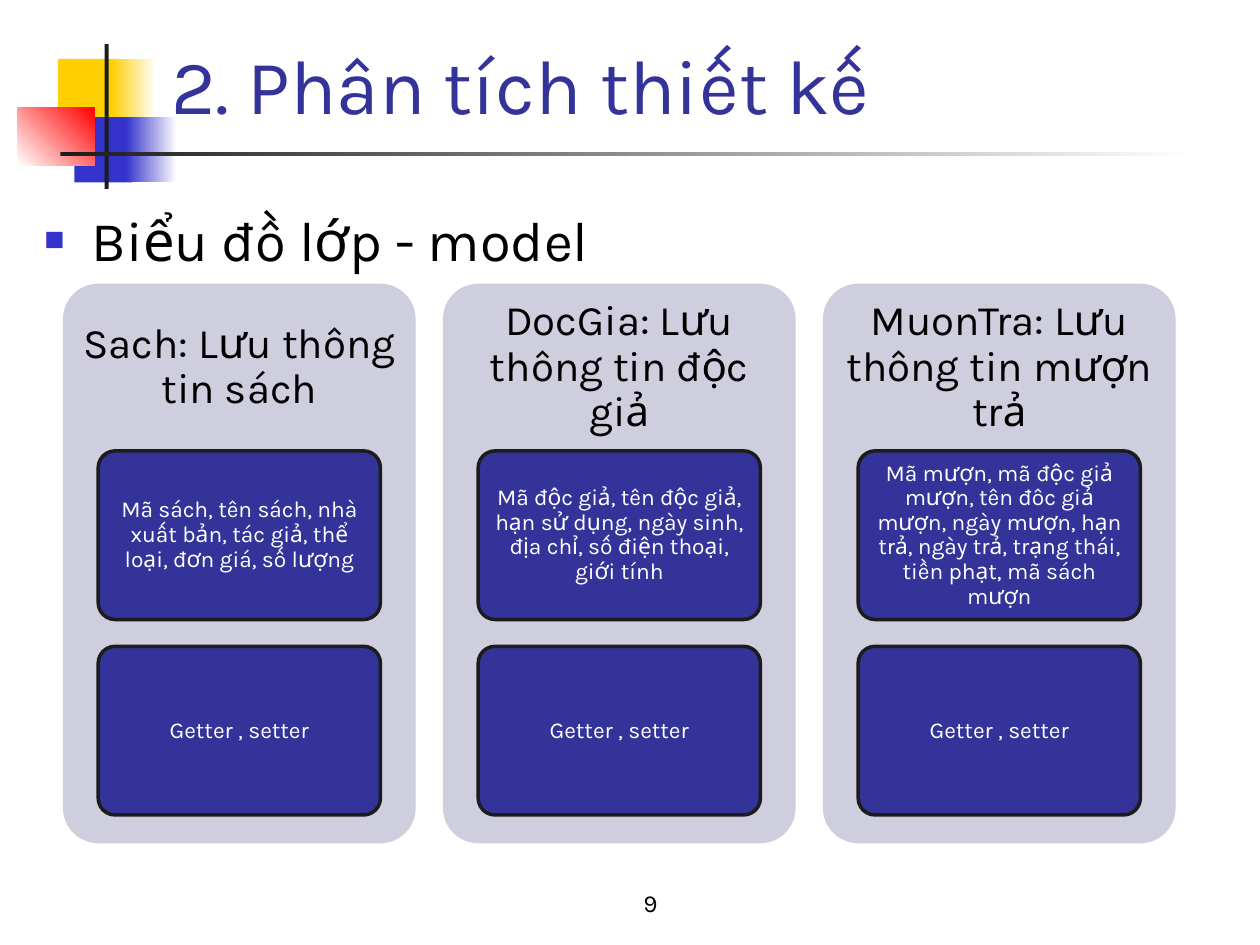
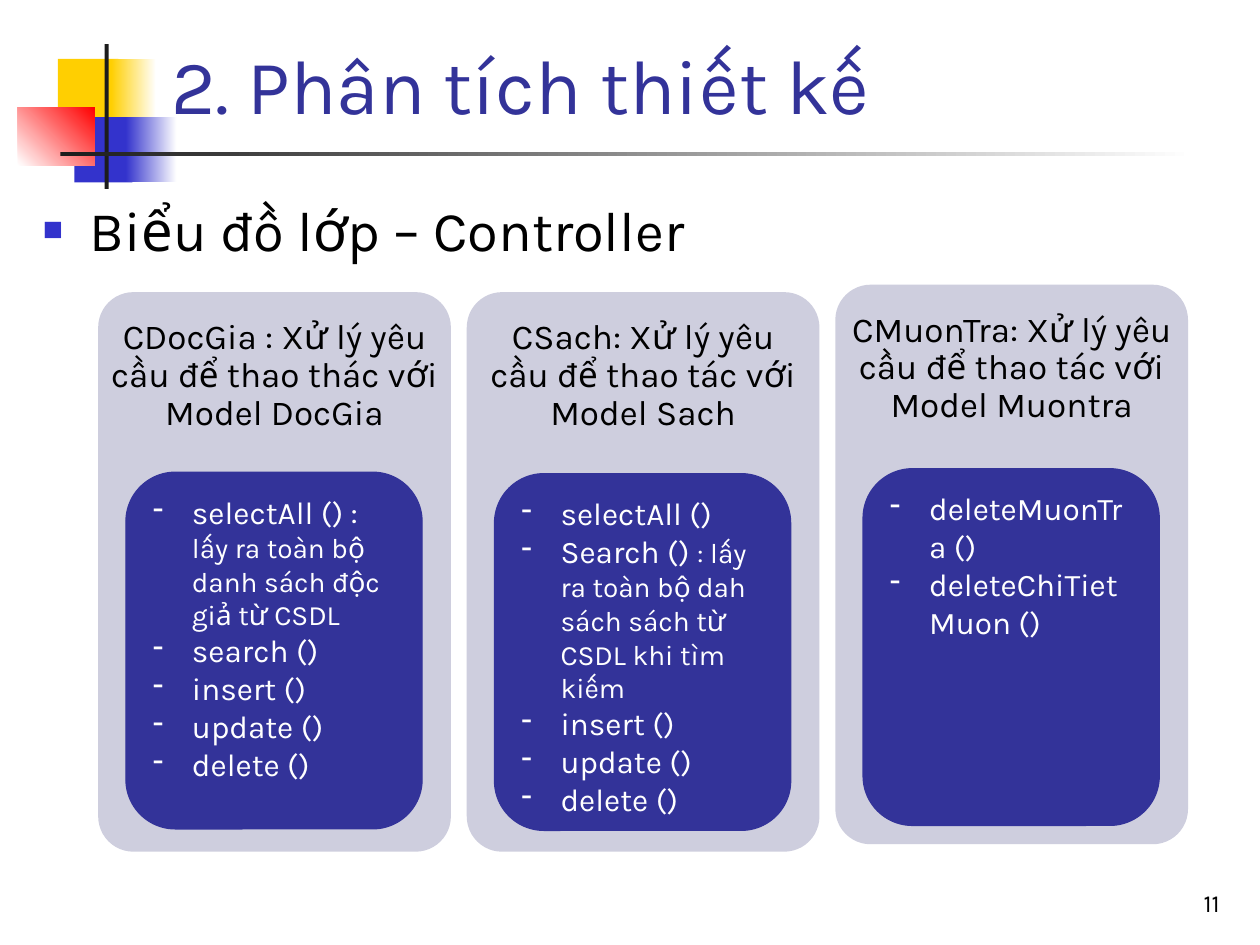
"""Build two class diagram slides with a shared title, block motif and cards."""
from dataclasses import dataclass
from typing import Optional

from lxml import etree
from pptx import Presentation
from pptx import util as u
from pptx.dml.color import RGBColor
from pptx.enum import shapes, text
from pptx.oxml.ns import qn

FONT = "Karla"
NAVY, BLUE, GOLD, RED = "333399", "3333CC", "FFCF01", "FF0000"
INK, LILAC, BLACK, WHITE = "1C1C1C", "CECEDE", "000000", "FFFFFF"
RECT = shapes.MSO_SHAPE.RECTANGLE
ROUND = shapes.MSO_SHAPE.ROUNDED_RECTANGLE
LEFT, MID, RIGHT = text.PP_ALIGN.LEFT, text.PP_ALIGN.CENTER, text.PP_ALIGN.RIGHT
TITLE = "2. Phân tích thiết kế"
CARD_W, CARD_H, HEAD_H = 7.11, 11.28, 3.38


@dataclass
class Area:
    x: float
    y: float
    w: float
    h: float

    def cm(self) -> list:
        return [u.Cm(v) for v in (self.x, self.y, self.w, self.h)]


@dataclass
class Block:
    area: Area
    fill: str
    fade: Optional[str] = None
    angle: int = 0


@dataclass
class Model:
    head: str
    fields: str


@dataclass
class Control:
    head: str
    top: float
    list_top: float
    items: list


BLOCKS = [
    Block(Area(1.17, 1.19, 1.22, 1.32), GOLD),
    Block(Area(2.24, 1.19, 0.91, 1.32), GOLD, WHITE),
    Block(Area(1.5, 2.36, 1.17, 1.32), BLUE),
    Block(Area(2.54, 2.36, 1.02, 1.32), BLUE, WHITE),
    Block(Area(0.36, 2.16, 1.55, 1.17), WHITE, RED, 45),
    Block(Area(2.11, 0.89, 0.08, 2.92), INK),
    Block(Area(1.22, 3.07, 22.86, 0.08), INK, WHITE),
]
MODELS = [
    Model("Sach: Lưu thông tin sách",
          "Mã sách, tên sách, nhà xuất bản, tác giả, thể loại, đơn giá, số lượng"),
    Model("DocGia: Lưu thông tin độc giả",
          "Mã độc giả, tên độc giả, hạn sử dụng, ngày sinh, địa chỉ, "
          "số điện thoại, giới tính"),
    Model("MuonTra: Lưu thông tin mượn trả",
          "Mã mượn, mã độc giả mượn, tên đôc giả mượn, ngày mượn, hạn trả, "
          "ngày trả, trạng thái, tiền phạt, mã sách mượn"),
]
EDITS = [("insert ()",), ("update ()",), ("delete ()",)]
CONTROLS = [
    Control("CDocGia : Xử lý yêu cầu để thao thác với Model DocGia", 5.89, 9.52,
            [("selectAll () : ", "lấy ra toàn bộ danh sách độc giả từ CSDL"),
             ("search ()",), *EDITS]),
    Control("CSach: Xử lý yêu cầu để thao tác với Model Sach", 5.89, 9.55,
            [("selectAll ()",),
             ("Search () ", ": lấy ra toàn bộ dah sách sách từ CSDL khi tìm kiếm"),
             *EDITS]),
    Control("CMuonTra: Xử lý yêu cầu để thao tác với Model Muontra", 5.74, 9.45,
            [("deleteMuonTra ()",), ("deleteChiTietMuon ()",)]),
]


def rgb(tone: str) -> RGBColor:
    return RGBColor.from_string(tone)


def style(para, size: float, tone: str, align=LEFT, lead: Optional[float] = None) -> None:
    para.alignment = align
    if lead:
        para.line_spacing = lead
    para.font.size = u.Pt(size)
    para.font.name = FONT
    para.font.color.rgb = rgb(tone)


def bullet(para, char: str, tone: str, indent: float, size: int = 100) -> None:
    prop = para._p.get_or_add_pPr()
    prop.set("marL", str(u.Cm(indent)))
    prop.set("indent", str(-u.Cm(indent)))
    color = etree.SubElement(prop, qn("a:buClr"))
    etree.SubElement(color, qn("a:srgbClr"), val=tone)
    etree.SubElement(prop, qn("a:buSzPct"), val=str(size * 1000))
    etree.SubElement(prop, qn("a:buChar"), char=char)


def pad(frame, side: float, edge: float) -> None:
    frame.margin_left = frame.margin_right = u.Cm(side)
    frame.margin_top = frame.margin_bottom = u.Cm(edge)


def shape(slide, kind, area: Area, fill: str, line: Optional[str] = None,
          width: float = 0.75, adj: Optional[float] = None):
    item = slide.shapes.add_shape(kind, *area.cm())
    item.shadow.inherit = False
    item.fill.solid()
    item.fill.fore_color.rgb = rgb(fill)
    if line:
        item.line.color.rgb = rgb(line)
        item.line.width = u.Pt(width)
    else:
        item.line.fill.background()
    if adj is not None:
        item.adjustments[0] = adj
    return item


def label(slide, area: Area, words: str, size: float, align, anchor,
          lead: Optional[float] = None):
    frame = slide.shapes.add_textbox(*area.cm()).text_frame
    frame.word_wrap = True
    frame.vertical_anchor = anchor
    frame.text = words
    style(frame.paragraphs[0], size, BLACK, align, lead)
    return frame


def motif(slide) -> None:
    tree = slide.shapes.element
    for i, block in enumerate(BLOCKS):
        item = shape(slide, RECT, block.area, block.fill)
        if block.fade:
            item.fill.gradient()
            item.fill.gradient_angle = block.angle
            for stop, tone in zip(item.fill.gradient_stops, (block.fill, block.fade)):
                stop.color.rgb = rgb(tone)
        tree.insert(2 + i, item._element)


def place(holder, area: Area, words: str, anchor):
    holder.left, holder.top, holder.width, holder.height = area.cm()
    frame = holder.text_frame
    frame.text = words
    frame.auto_size = text.MSO_AUTO_SIZE.NONE
    frame.vertical_anchor = anchor
    return frame.paragraphs[0]


def start(deck, topic: str, body: Area, page: str, foot: Area, align):
    slide = deck.slides.add_slide(deck.slide_layouts[1])
    motif(slide)
    head = place(slide.shapes.title, Area(3.2, 0.58, 21.64, 2.16), TITLE,
                 text.MSO_ANCHOR.BOTTOM)
    style(head, 44, NAVY)
    para = place(slide.placeholders[1], body, topic, text.MSO_ANCHOR.TOP)
    bullet(para, "■", BLUE, 0.95, 60)
    style(para, 32, BLACK)
    label(slide, foot, page, 14, align, text.MSO_ANCHOR.BOTTOM)
    return slide


def card(slide, x: float, y: float, words: str, size: float) -> None:
    shape(slide, ROUND, Area(x, y, CARD_W, CARD_H), LILAC, adj=0.1)
    frame = label(slide, Area(x, y, CARD_W, HEAD_H), words, size, MID,
                  text.MSO_ANCHOR.MIDDLE, 0.9)
    pad(frame, 0.25, 0.25)


def box(slide, area: Area, words: str) -> None:
    frame = shape(slide, ROUND, area, NAVY, INK, 2, 0.1).text_frame
    pad(frame, 0.1, 0.08)
    frame.word_wrap = True
    frame.vertical_anchor = text.MSO_ANCHOR.MIDDLE
    frame.text = words
    style(frame.paragraphs[0], 13, WHITE, MID, 0.9)


def listing(slide, area: Area, items: list) -> None:
    frame = shape(slide, ROUND, area, NAVY, NAVY).text_frame
    frame.word_wrap = True
    frame.vertical_anchor = text.MSO_ANCHOR.TOP
    for i, (name, *notes) in enumerate(items):
        para = frame.add_paragraph() if i else frame.paragraphs[0]
        bullet(para, "-", WHITE, 0.79)
        style(para, 18, WHITE)
        para.add_run().text = name
        for note in notes:
            run = para.add_run()
            run.text = note
            run.font.size = u.Pt(16)


def models(deck) -> None:
    slide = start(deck, "Biểu đồ lớp - model", Area(0.64, 4.01, 24.23, 13),
                  "9", Area(9.09, 17.35, 8.05, 1.27), MID)
    for i, model in enumerate(MODELS):
        x = 1.27 + 7.66 * i
        card(slide, x, 5.72, model.head, 24)
        for j, words in enumerate((model.fields, "Getter , setter")):
            box(slide, Area(x + 0.71, 9.09 + 3.94 * j, 5.69, 3.4), words)


def controls(deck) -> None:
    slide = start(deck, "Biểu đồ lớp – Controller", Area(0.61, 3.81, 24.23, 13.23),
                  "11", Area(19.56, 17.35, 5.28, 1.27), RIGHT)
    for i, control in enumerate(CONTROLS):
        x = 1.98 + 7.43 * i
        card(slide, x, control.top, control.head, 20)
        listing(slide, Area(x + 0.56, control.list_top, 5.97, 7.19), control.items)


def main() -> None:
    deck = Presentation()
    deck.slide_width, deck.slide_height = u.Cm(25.4), u.Cm(19.05)
    models(deck)
    controls(deck)
    deck.save("out.pptx")


if __name__ == "__main__":
    main()
